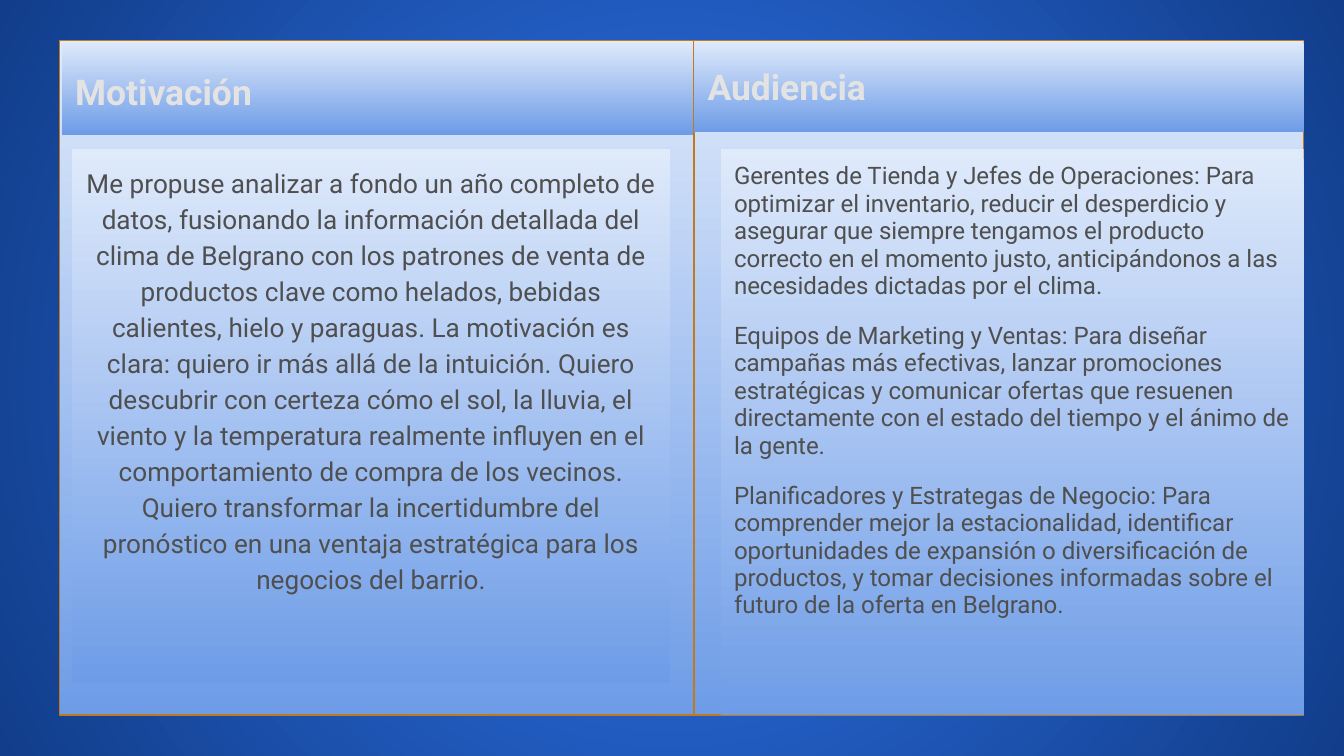
import lxml.etree
import pptx
import pptx.dml.color
import pptx.enum.shapes
import pptx.enum.text
import pptx.oxml.ns
import pptx.util

qn = pptx.oxml.ns.qn
Align = pptx.enum.text.PP_ALIGN
Anchor = pptx.enum.text.MSO_ANCHOR
Pt = pptx.util.Pt


def colour(hex_value):
    return pptx.dml.color.RGBColor.from_string(hex_value)


def apply_gradient(fill, first, last):
    fill.gradient()
    fill.gradient_angle = 270
    for stop, position, hex_value in zip(fill.gradient_stops, (0, 1), (first, last)):
        stop.position = position
        stop.color.rgb = colour(hex_value)


presentation = pptx.Presentation()
presentation.slide_width = pptx.util.Inches(10)
presentation.slide_height = presentation.slide_width * 9 // 16
column = presentation.slide_width / 100
row = presentation.slide_height / 100

slide = presentation.slides.add_slide(presentation.slide_layouts.get_by_name("Comparison"))
title = slide.shapes.title._element
title.getparent().remove(title)

apply_gradient(slide.background.fill, "3176EE", "113D8A")
linear = slide._element.find(".//" + qn("a:lin"))
circle = lxml.etree.Element(qn("a:path"), path="circle")
lxml.etree.SubElement(circle, qn("a:fillToRect"), dict.fromkeys("ltrb", "50000"))
linear.getparent().replace(linear, circle)

motivation = [
    "Me propuse analizar a fondo un año completo de datos, fusionando la información detallada "
    "del clima de Belgrano con los patrones de venta de productos clave como helados, bebidas "
    "calientes, hielo y paraguas. La motivación es clara: quiero ir más allá de la intuición. "
    "Quiero descubrir con certeza cómo el sol, la lluvia, el viento y la temperatura realmente "
    "influyen en el comportamiento de compra de los vecinos. Quiero transformar la incertidumbre "
    "del pronóstico en una ventaja estratégica para los negocios del barrio.",
]
audience = [
    "Gerentes de Tienda y Jefes de Operaciones: Para optimizar el inventario, reducir el "
    "desperdicio y asegurar que siempre tengamos el producto correcto en el momento justo, "
    "anticipándonos a las necesidades dictadas por el clima.",
    "Equipos de Marketing y Ventas: Para diseñar campañas más efectivas, lanzar promociones "
    "estratégicas y comunicar ofertas que resuenen directamente con el estado del tiempo y el "
    "ánimo de la gente.",
    "Planificadores y Estrategas de Negocio: Para comprender mejor la estacionalidad, identificar "
    "oportunidades de expansión o diversificación de productos, y tomar decisiones informadas "
    "sobre el futuro de la oferta en Belgrano.",
]

heading_font = {"size": Pt(19), "bold": True, "name": "Roboto"}
body_font = {"size": Pt(14), "bold": False, "name": "Roboto"}
audience_font = {**body_font, "size": Pt(12.92)}

boxes = [
    (1, (4.6, 5.42, 47.3, 12.4), ["Motivación"], Anchor.MIDDLE, Align.LEFT, 1.15, heading_font, "E3E3E3"),
    (2, (5.36, 19.75, 44.5, 70.6), motivation, Anchor.TOP, Align.CENTER, 1.15, body_font, "4F4F4F"),
    (3, (51.64, 5.42, 45.36, 12.1), ["Audiencia"], Anchor.MIDDLE, Align.LEFT, 1.0, heading_font, "E3E3E3"),
    (4, (53.62, 19.75, 43.38, 74.9), audience, Anchor.TOP, Align.LEFT, 0.95, audience_font, "4F4F4F"),
]
placeholders = {shape.placeholder_format.idx: shape for shape in slide.placeholders}

for index, (left, top, width, height), texts, anchor, alignment, spacing, font, text_colour in boxes:
    box = placeholders[index]
    box.left, box.width = int(left * column), int(width * column)
    box.top, box.height = int(top * row), int(height * row)
    apply_gradient(box.fill, "DFEAFB", "6E9CE7")
    frame = box.text_frame
    frame_format = {
        "word_wrap": True,
        "auto_size": pptx.enum.text.MSO_AUTO_SIZE.NONE,
        "vertical_anchor": anchor,
        **{"margin_" + side: int(column) for side in ("left", "top", "right", "bottom")},
    }
    for name, value in frame_format.items():
        setattr(frame, name, value)
    for number, text in enumerate(texts):
        paragraph = frame.add_paragraph() if number else frame.paragraphs[0]
        properties = paragraph._p.get_or_add_pPr()
        properties.set("marL", "0")
        properties.set("indent", "0")
        lxml.etree.SubElement(properties, qn("a:buNone"))
        paragraph.alignment = alignment
        paragraph.line_spacing = spacing
        paragraph.space_before = Pt(12 if number else 0)
        run = paragraph.add_run()
        run.text = text
        for name, value in font.items():
            setattr(run.font, name, value)
        run.font.color.rgb = colour(text_colour)

for heading_index, left, width in ((1, 4.45, 47.2), (3, 51.64, 45.36)):
    panel = slide.shapes.add_shape(
        pptx.enum.shapes.MSO_SHAPE.RECTANGLE,
        int(left * column), int(5.36 * row), int(width * column), int(89.25 * row),
    )
    panel.shadow.inherit = False
    apply_gradient(panel.fill, "DFEAFB", "6E9CE7")
    panel.line.color.rgb = colour("C0791B")
    panel.line.width = Pt(0.75)
    placeholders[heading_index]._element.addprevious(panel._element)

presentation.save("out.pptx")
